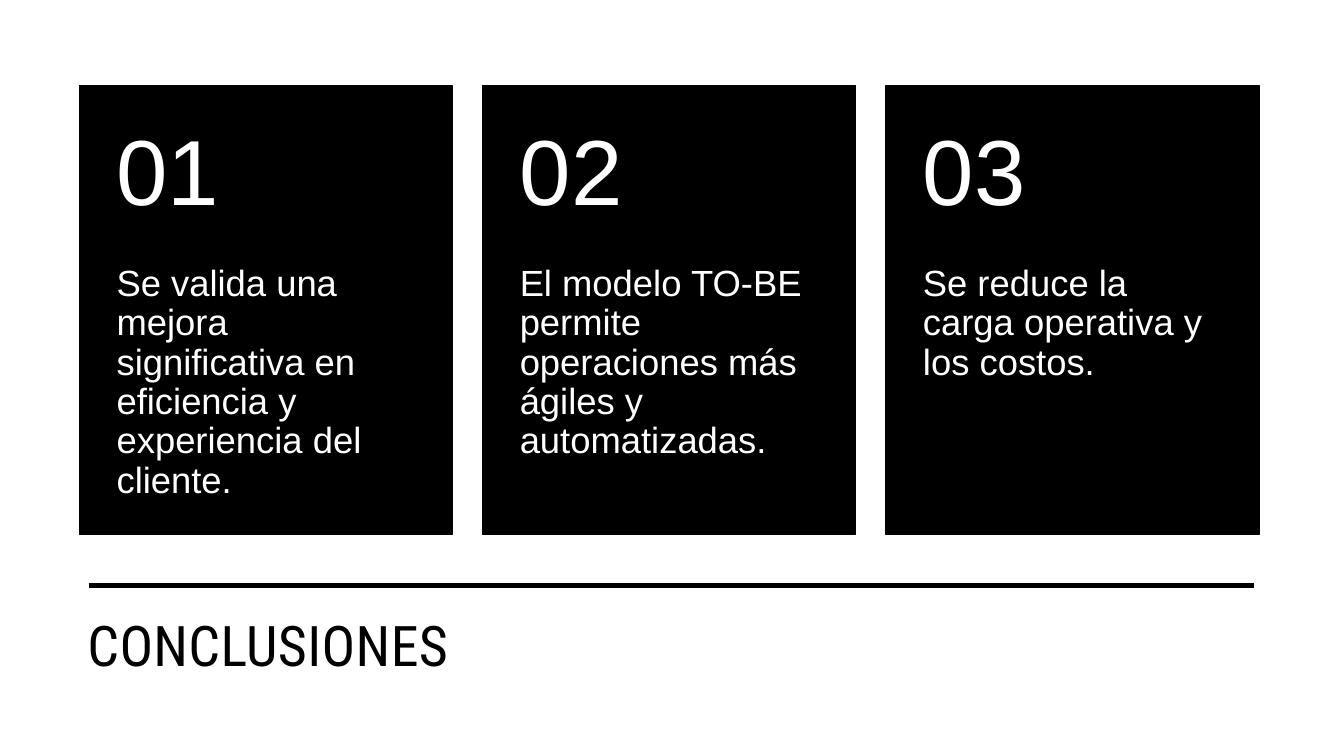
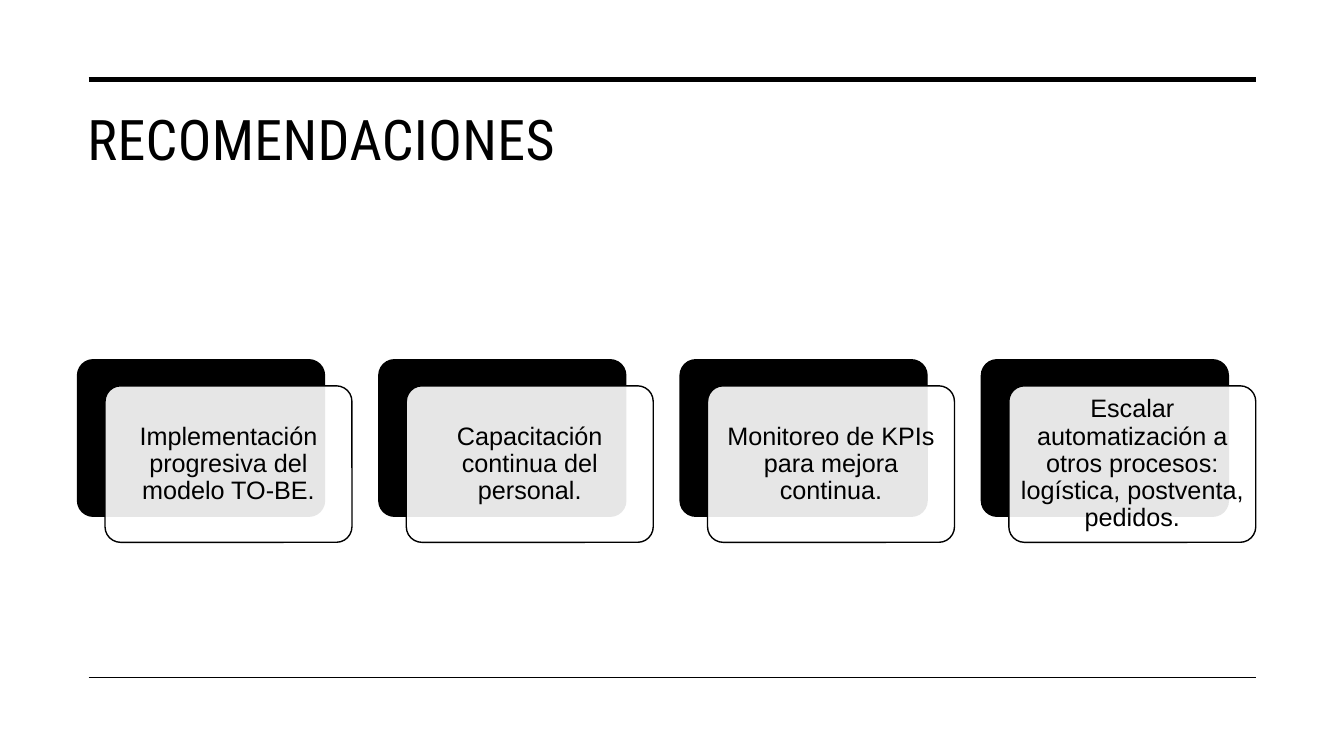
import pptx
import pptx.dml.color
import pptx.enum.shapes
import pptx.enum.text
import pptx.oxml.ns
import pptx.util
from lxml import etree

Pt = pptx.util.Pt
RGBColor = pptx.dml.color.RGBColor
SHAPE = pptx.enum.shapes.MSO_SHAPE
ANCHOR = pptx.enum.text.MSO_ANCHOR
ALIGN = pptx.enum.text.PP_ALIGN
qn = pptx.oxml.ns.qn

BLACK = RGBColor(0, 0, 0)
WHITE = RGBColor(255, 255, 255)

TITLE_FONT = {"name": "Roboto Condensed", "size": Pt(40), "color": BLACK}
NUMBER_FONT = {"name": "Arial", "size": Pt(66), "color": WHITE}
BODY_FONT = {"name": "Arial", "size": Pt(26), "color": WHITE}
BOX_FONT = {"name": "Arial", "size": Pt(18), "color": BLACK}

TITLE_LEFT, RULE_LEFT = 55.4, 63.4

CONCLUSIONS = [
    "Se valida una mejora significativa en eficiencia y experiencia del cliente.",
    "El modelo TO-BE permite operaciones más ágiles y automatizadas.",
    "Se reduce la carga operativa y los costos.",
]
RECOMMENDATIONS = [
    "Implementación progresiva del modelo TO-BE.",
    "Capacitación continua del personal.",
    "Monitoreo de KPIs para mejora continua.",
    "Escalar automatización a otros procesos: logística, postventa, pedidos.",
]


def write(sp, text, font, insets, anchor=ANCHOR.TOP, align=ALIGN.LEFT,
          line_spacing=0.9, tracking=None):
    """Fill a shape with one paragraph; insets run left, top, right, bottom."""
    tf = sp.text_frame
    left, top, right, bottom = map(Pt, insets)
    frame_format = {
        "word_wrap": True, "vertical_anchor": anchor,
        "margin_left": left, "margin_top": top,
        "margin_right": right, "margin_bottom": bottom,
    }
    for name, value in frame_format.items():
        setattr(tf, name, value)
    p = tf.paragraphs[0]
    p.alignment = align
    p.line_spacing = line_spacing
    r = p.add_run()
    r.text = text
    for name, value in font.items():
        if name == "color":
            r.font.color.rgb = value
        else:
            setattr(r.font, name, value)
    if tracking is not None:
        r._r.get_or_add_rPr().set("spc", str(tracking))


def add_text(s, x, y, w, h, text, font, insets, **options):
    sp = s.shapes.add_textbox(Pt(x), Pt(y), Pt(w), Pt(h))
    write(sp, text, font, insets, **options)


def add_title(s, y, w, h, text):
    add_text(s, TITLE_LEFT, y, w, h, text, TITLE_FONT, (7.2, 3.6, 7.2, 3.6),
             line_spacing=1.0, tracking=30)


def add_rule(s, y, right, weight):
    line = s.shapes.add_connector(pptx.enum.shapes.MSO_CONNECTOR.STRAIGHT,
                                  Pt(RULE_LEFT), Pt(y), Pt(right), Pt(y))
    line.line.color.rgb = BLACK
    line.line.width = Pt(weight)
    etree.SubElement(line._element.spPr, qn("a:effectLst"))


def add_block(s, kind, x, y, w, h, fill, opacity=None):
    """Add a black-outlined shape, see-through if opacity (percent) is given."""
    sp = s.shapes.add_shape(kind, Pt(x), Pt(y), Pt(w), Pt(h))
    sp.shadow.inherit = False
    sp.fill.solid()
    sp.fill.fore_color.rgb = fill
    sp.line.color.rgb = BLACK
    sp.line.width = Pt(1)
    if kind == SHAPE.ROUNDED_RECTANGLE:
        sp.adjustments[0] = 0.1
    if opacity is not None:
        color = sp._element.spPr.find(qn("a:solidFill")).find(qn("a:srgbClr"))
        etree.SubElement(color, qn("a:alpha"), val=str(opacity * 1000))
    return sp


def add_numbered_card(s, x, number, text):
    y, w, number_h, body_h = 61.2, 266.4, 128.2, 192.2
    add_block(s, SHAPE.RECTANGLE, x, y, w, number_h + body_h, BLACK)
    add_text(s, x, y + number_h, w, body_h, text, BODY_FONT, (26.4, 0, 26.4, 26))
    add_text(s, x, y, w, number_h, f"{number:02}", NUMBER_FONT,
             (26.4, 13, 26.4, 13), anchor=ANCHOR.MIDDLE)


def add_layered_box(s, x, text):
    y, w, h = 257, 176.4, 111.8
    shift_x, shift_y = 19.6, 18.6
    add_block(s, SHAPE.ROUNDED_RECTANGLE, x, y, w, h, BLACK)
    front = add_block(s, SHAPE.ROUNDED_RECTANGLE, x + shift_x, y + shift_y,
                      w, h, WHITE, opacity=90)
    write(front, text, BOX_FONT, (5, 5, 5, 5), anchor=ANCHOR.MIDDLE,
          align=ALIGN.CENTER)


def build_conclusions(s):
    add_title(s, 432.7, 844.6, 59.8, "CONCLUSIONES")
    add_rule(s, 418.3, 895.7, 3.5)
    for i, text in enumerate(CONCLUSIONS):
        add_numbered_card(s, 56.9 + 288 * i, i + 1, text)


def build_recommendations(s):
    add_title(s, 71.3, 841.7, 90.7, "RECOMENDACIONES")
    add_rule(s, 56.9, 897.1, 3.5)
    add_rule(s, 483.8, 897.1, 1)
    for i, text in enumerate(RECOMMENDATIONS):
        add_layered_box(s, 55.4 + 215.2 * i, text)


def main():
    prs = pptx.Presentation()
    prs.slide_width, prs.slide_height = Pt(960), Pt(540)
    for build in (build_conclusions, build_recommendations):
        build(prs.slides.add_slide(prs.slide_layouts[6]))
    prs.save("out.pptx")


if __name__ == "__main__":
    main()
